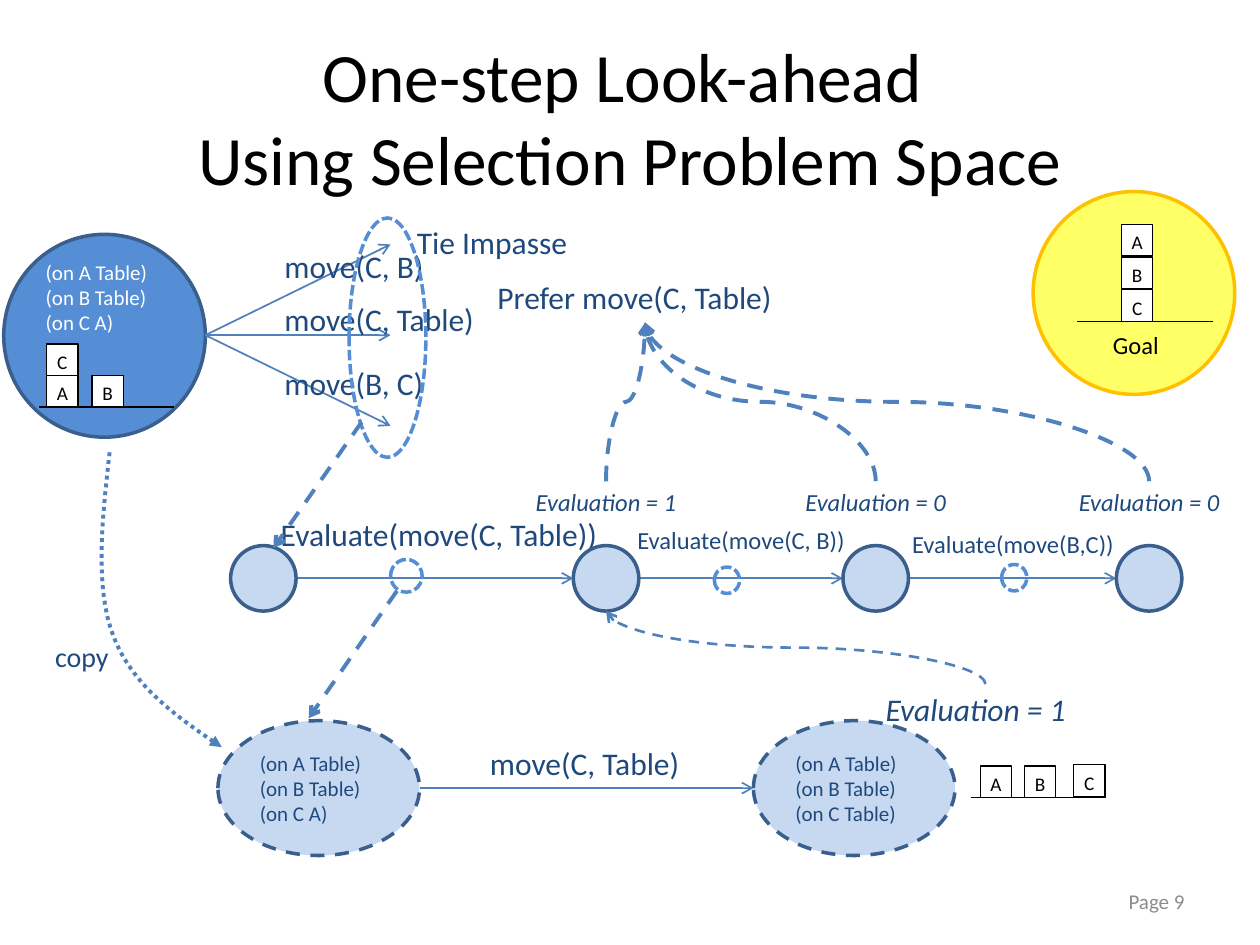
from lxml import etree
from pptx import Presentation
from pptx.dml.color import RGBColor
from pptx.enum import dml, shapes, text
from pptx.oxml import ns
from pptx.util import Inches, Pt

NAVY, BLUE, SKY = "1F497D", "4F81BD", "558ED5"
PALE, EDGE, BLACK, WHITE = "C6D9F1", "3A5F8C", "000000", "FFFFFF"
DASH, DOT = dml.MSO_LINE.DASH, dml.MSO_LINE.ROUND_DOT
FINE = dml.MSO_LINE.SQUARE_DOT
LEFT, MID, RIGHT = text.PP_ALIGN.LEFT, text.PP_ALIGN.CENTER, text.PP_ALIGN.RIGHT
TOP, CENTER = text.MSO_ANCHOR.TOP, text.MSO_ANCHOR.MIDDLE


def paint(code):
    return RGBColor.from_string(code)


def write(shape, words, size=18, color=NAVY, align=LEFT, italic=False,
          anchor=TOP, after=None, inset=(0.1, 0.05, 0.1, 0.05)):
    """Fill a shape with text, one paragraph for each line."""
    frame = shape.text_frame
    frame.word_wrap = True
    frame.vertical_anchor = anchor
    (frame.margin_left, frame.margin_top,
     frame.margin_right, frame.margin_bottom) = map(Inches, inset)
    frame.text = words
    for par in frame.paragraphs:
        par.alignment = align
        if after is not None:
            par.space_after = Pt(after)
        for run in par.runs:
            font = run.font
            font.name, font.size, font.italic = "Calibri", Pt(size), italic
            font.color.rgb = paint(color)


def label(slide, x, y, w, words, h=0.4, **style):
    box = slide.shapes.add_textbox(*map(Inches, (x, y, w, h)))
    write(box, words, **style)


def stroke(line, color, width, dash=None):
    line.color.rgb = paint(color)
    line.width = Pt(width)
    if dash:
        line.dash_style = dash


def tip(shape, kind):
    """Put an arrowhead at the end of a line."""
    line = shape.line._get_or_add_ln()
    etree.SubElement(line, ns.qn("a:tailEnd"), type=kind)


def form(slide, kind, x, y, w, h, fill, edge, width, dash=None):
    shape = slide.shapes.add_shape(kind, *map(Inches, (x, y, w, h)))
    shape.shadow.inherit = False
    if fill:
        shape.fill.solid()
        shape.fill.fore_color.rgb = paint(fill)
    else:
        shape.fill.background()
    stroke(shape.line, edge, width, dash)
    return shape


def oval(slide, x, y, w, h, fill=PALE, edge=EDGE, dash=None):
    return form(slide, shapes.MSO_SHAPE.OVAL, x, y, w, h, fill, edge, 2, dash)


def link(slide, x1, y1, x2, y2, color=BLUE, width=1, dash=None,
         head="arrow", kind=shapes.MSO_CONNECTOR.STRAIGHT):
    line = slide.shapes.add_connector(kind, *map(Inches, (x1, y1, x2, y2)))
    stroke(line.line, color, width, dash)
    if head:
        tip(line, head)
    etree.SubElement(line._element.spPr, ns.qn("a:effectLst"))
    return line


def curve(slide, x1, y1, x2, y2, width=2.25):
    """Rising S-curve: a quarter turn makes both of its ends upright."""
    w, h = y1 - y2, abs(x2 - x1)
    x, y = (x1 + x2 - w) / 2, (y1 + y2 - h) / 2
    line = link(slide, x, y, x + w, y + h, width=width, dash=DASH,
                kind=shapes.MSO_CONNECTOR.CURVE)
    frame = line._element.spPr.find(ns.qn("a:xfrm"))
    frame.set("rot", str(270 * 60000))
    if x2 < x1:
        frame.set("flipV", "1")


def block(slide, x, y, name):
    cube = form(slide, shapes.MSO_SHAPE.RECTANGLE, x, y, 0.25, 0.25,
                WHITE, BLACK, 0.75)
    write(cube, name, size=11, color=BLACK, align=MID, after=10,
          inset=(0.01, 0.05, 0.01, 0.05))


def table(slide, x, y, cubes, width=1.07):
    """Blocks given by their offset from the left end of the table line."""
    for name, dx, dy in cubes:
        block(slide, x + dx, y + dy, name)
    link(slide, x, y, x + width, y, BLACK, 0.75, head=None)


def goal(slide, x, y, w, h):
    oval(slide, x, y, w, h, "FFFF66", "FFC000")
    stack = [(name, 0.35, -0.77 + 0.26 * i) for i, name in enumerate("ABC")]
    table(slide, x + 0.35, y + 1.03, stack, 1.08)
    label(slide, x + 0.32, y + 1.05, 0.99, "Goal", h=0.34, size=14,
          color=BLACK, align=MID)


def start(slide, x, y, w, h):
    state = oval(slide, x, y, w, h, SKY)
    write(state, "(on A Table)\n(on B Table)\n(on C A)", size=12, color=WHITE,
          anchor=CENTER, inset=(0.1, 0, 0.1, 0.61))
    table(slide, x + 0.28, y + 1.37,
          [("A", 0.06, -0.25), ("B", 0.42, -0.25), ("C", 0.06, -0.5)])


def tie(slide, x, y, w, h):
    """Three moves fan out from the left edge into the impasse ring."""
    for dy in (-0.72, 0, 0.72):
        link(slide, x, y + 0.93, x + 1.47, y + 0.93 + dy)
    for words, dy in (("move(C, B)", 0.18), ("move(B, C)", 1.11),
                      ("move(C, Table)", 0.6)):
        label(slide, x + 0.53, y + dy, 1.77, words)
    oval(slide, x + 1.14, y, 0.61, h, None, SKY, FINE)
    label(slide, x + 1.58, y - 0.01, w - 1.58, "Tie Impasse")


def search(slide, x, y, w, h):
    """Chain of selection states with an evaluation above each result."""
    size, mid = 0.52, y + h - 0.26
    spots = [x, x + 2.72, x + 4.86, x + w - size]
    for left, right in zip(spots, spots[1:]):
        link(slide, left + size, mid, right, mid)
    for dx, dy, wide, words, pt in (
            (0.3, -0.55, 2.73, "Evaluate(move(C, Table))", 18),
            (3.13, -0.47, 2.37, "Evaluate(move(C, B))", 14),
            (5.31, -0.44, 1.91, "Evaluate(move(B,C))", 14)):
        label(slide, x + dx, mid + dy, wide, words, size=pt)
    for left in spots:
        oval(slide, left, mid - 0.26, size, size)
    for dx, dy, d in ((1.27, -0.15, 0.25), (3.84, -0.09, 0.2),
                      (6.12, -0.11, 0.2)):
        oval(slide, x + dx, mid + dy, d, d + 0.01, None, SKY, FINE)
    for left, score in zip(spots[1:], (1, 0, 0)):
        axis = left + size / 2
        label(slide, axis - 0.88, y + 1.26, 1.76, f"Evaluation = {score}",
              h=0.34, size=14, align=MID, italic=True)
        curve(slide, axis, y + 1.26, x + 3.29, y)
    label(slide, x + 2.02, y - 0.4, 2.54, "Prefer move(C, Table)")


def trial(slide, x, y, w, h):
    """The move tried out on a copied state."""
    wide, mid = 1.6, y + h / 2
    for left, last in ((x, "A"), (x + w - wide, "Table")):
        state = oval(slide, left, y, wide, h, dash=DASH)
        write(state, f"(on A Table)\n(on B Table)\n(on C {last})", size=12,
              anchor=CENTER)
    link(slide, x + wide, mid, x + w - wide, mid)
    label(slide, x + wide, y + 0.14, 2.62, "move(C, Table)", align=MID)
    label(slide, x + 5.2, y - 0.29, 1.76, "Evaluation = 1", italic=True)
    curve(slide, x + 6.09, y - 0.29, x + 3.08, y - 0.87, width=1.5)
    table(slide, x + 5.98, y + 0.61,
          [("A", 0.07, -0.25), ("B", 0.42, -0.25), ("C", 0.81, -0.26)])


def clone(slide, x, y, w, h):
    """Dotted copy arrow, traced along two Bezier arcs."""
    arcs = [[(0.12, 0), (0.06, 0.53), (0, 1.07), (0.15, 1.46)],
            [(0.15, 1.46), (0.3, 1.85), (0.65, 2.1), (w, h)]]
    steps = 16
    dots = []
    for arc in arcs:
        for t in (i / steps for i in range(1, steps + 1)):
            mix = ((1 - t) ** 3, 3 * t * (1 - t) ** 2, 3 * t * t * (1 - t), t ** 3)
            px, py = (sum(m * p[k] for m, p in zip(mix, arc)) for k in (0, 1))
            dots.append((Inches(x + px), Inches(y + py)))
    path = slide.shapes.build_freeform(Inches(x + 0.12), Inches(y))
    path.add_line_segments(dots, close=False)
    trail = path.convert_to_shape()
    trail.shadow.inherit = False
    trail.fill.background()
    stroke(trail.line, BLUE, 2.25, DOT)
    tip(trail, "triangle")
    label(slide, x - 0.57, y + 1.44, 0.94, "copy", h=0.37, size=16, align=MID)


def main():
    deck = Presentation()
    deck.slide_width, deck.slide_height = Inches(10), Inches(7.5)
    slide = deck.slides.add_slide(deck.slide_layouts[5])

    # Title and page number
    title = slide.shapes.title
    title.left, title.top, title.width, title.height = map(
        Inches, (0.5, 0.3, 9, 1.25))
    write(title, "One-step Look-ahead \vUsing Selection Problem Space",
          size=39.6, color=BLACK, align=MID, anchor=CENTER)
    label(slide, 7.17, 6.95, 2.33, "Page 9", size=12, color="8C8C8C",
          align=RIGHT, anchor=CENTER)

    # Problem space
    goal(slide, 8.2, 1.52, 1.6, 1.61)
    start(slide, 0.03, 1.86, 1.6, 1.61)
    tie(slide, 1.63, 1.73, 3.01, 1.9)

    # Selection space and the trial below it
    search(slide, 1.83, 2.56, 7.55, 2.29)
    trial(slide, 1.73, 5.72, 5.85, 1.07)

    # Steps down between the levels
    link(slide, 2.87, 3.35, 2.17, 4.35, width=2.25, dash=DASH)
    link(slide, 3.15, 4.69, 2.45, 5.7, width=2.25, dash=DASH)
    clone(slide, 0.75, 3.59, 1.01, 2.34)

    deck.save("out.pptx")


if __name__ == "__main__":
    main()
